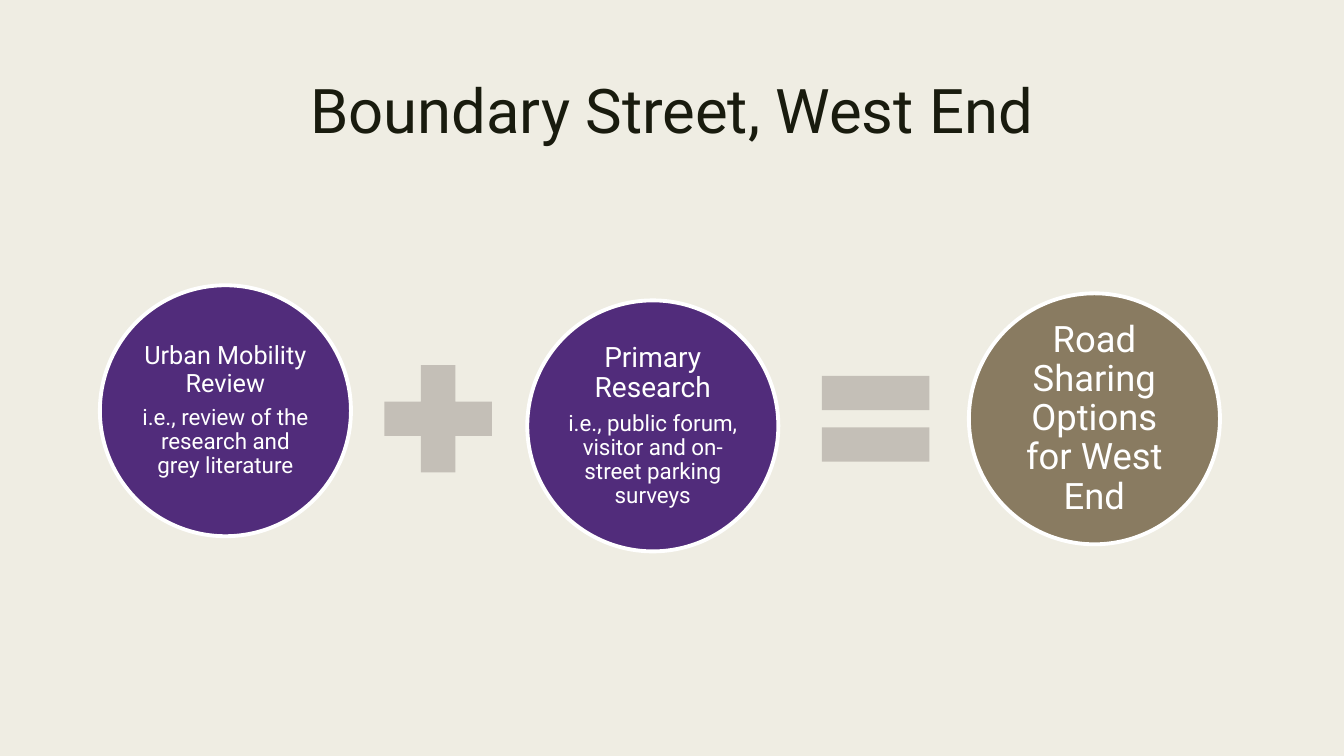
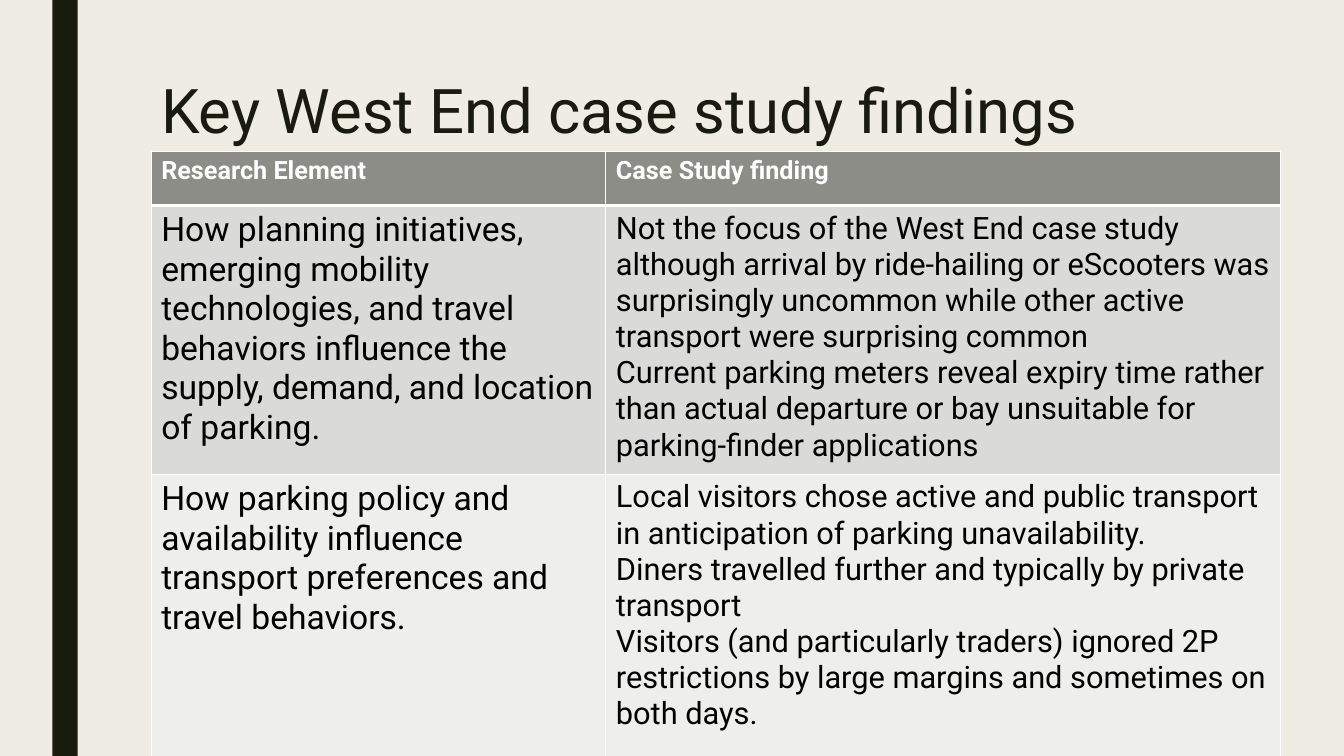
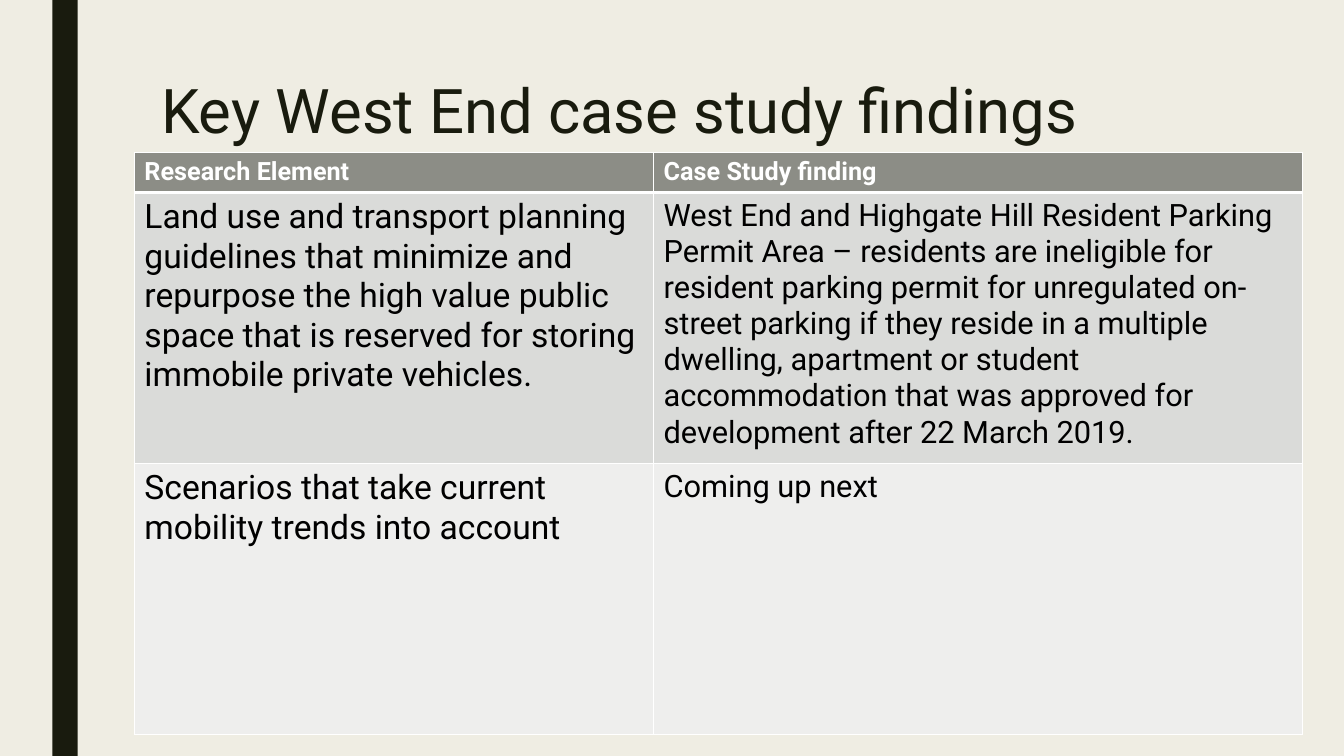
import pptx
import pptx.dml.color
import pptx.enum.shapes
import pptx.enum.text
import pptx.oxml
import pptx.oxml.ns
import pptx.util

WIDE = pptx.util.Inches(13.33)
TALL = pptx.util.Inches(7.5)
FONT = "Roboto"
CREAM, INK, WHITE, BLACK = "EFEDE3", "191B0E", "FFFFFF", "000000"
PLUM, SAND, STONE = "512C7B", "897B61", "C4BFB7"
HEAD, ROWS = "8C8D86", ["DADBD9", "EEEEED"]
FORM = pptx.enum.shapes.MSO_SHAPE
ALIGN = pptx.enum.text.PP_ALIGN
MID = pptx.enum.text.MSO_ANCHOR.MIDDLE


def across(share):
    return round(WIDE * share / 100)


def down(share):
    return round(TALL * share / 100)


def place(left, top, width, height):
    return across(left), down(top), across(width), down(height)


def tint(text):
    return pptx.dml.color.RGBColor.from_string(text)


def paint(part, color):
    part.fill.solid()
    part.fill.fore_color.rgb = tint(color)


def apply(item, style):
    for name, value in style.items():
        setattr(item, name, value)


def write(frame, parts, color, bold=False, **style):
    for index, (text, size) in enumerate(parts):
        para = frame.add_paragraph() if index else frame.paragraphs[0]
        apply(para, style)
        run = para.add_run()
        run.text = text
        apply(run.font, {"name": FONT, "size": pptx.util.Pt(size), "bold": bold})
        run.font.color.rgb = tint(color)


def shape(slide, form, box, color):
    item = slide.shapes.add_shape(form, *place(*box))
    item.shadow.inherit = False
    paint(item, color)
    item.line.fill.background()
    return item


def circle(slide, left, top, color, parts, inset=0.03):
    disc = shape(slide, FORM.OVAL, (left, top, 18.68, 33.2), color)
    disc.line.color.rgb = tint(WHITE)
    disc.line.width = pptx.util.Pt(2.75)
    edge = pptx.util.Inches(inset)
    sides = ("left", "top", "right", "bottom")
    apply(disc.text_frame, {f"margin_{side}": edge for side in sides})
    apply(disc.text_frame, {"word_wrap": True, "vertical_anchor": MID})
    write(disc.text_frame, parts, WHITE, alignment=ALIGN.CENTER,
          line_spacing=0.9, space_after=pptx.util.Pt(6))


def title(slide, text, left, width, align):
    frame = slide.shapes.add_textbox(*place(left, 10, width, 21.6)).text_frame
    frame.word_wrap = True
    write(frame, [(text, 44)], INK, alignment=align, line_spacing=0.89)


def border(cell, base):
    props = cell._tc.get_or_add_tcPr()
    widths = {"lnL": 1, "lnR": 1, "lnT": 1, "lnB": base}
    for index, (tag, width) in enumerate(widths.items()):
        line = pptx.oxml.parse_xml(
            f'<a:{tag} {pptx.oxml.ns.nsdecls("a")} w="{pptx.util.Pt(width)}">'
            f'<a:solidFill><a:srgbClr val="{WHITE}"/></a:solidFill></a:{tag}>')
        props.insert(index, line)


def table(slide, left, top, cols, rows, body):
    box = place(left, top, sum(cols), sum(rows))
    grid = slide.shapes.add_table(len(rows), len(cols), *box).table
    apply(grid, {"first_row": False, "horz_banding": False})
    for col, width in zip(grid.columns, cols):
        col.width = across(width)
    for row, height in zip(grid.rows, rows):
        row.height = down(height)
    heads = [["Research Element"], ["Case Study finding"]]
    for r, texts in enumerate([heads] + body):
        for c, lines in enumerate(texts):
            cell = grid.cell(r, c)
            paint(cell, ROWS[r - 1] if r else HEAD)
            border(cell, 1 if r else 3)
            size = (24, 22)[c] if r else 18
            write(cell.text_frame, [(line, size) for line in lines],
                  BLACK if r else WHITE, bold=not r)


def start(deck):
    slide = deck.slides.add_slide(deck.slide_layouts[6])
    paint(slide.background, CREAM)
    return slide


def street(deck):
    slide = start(deck)
    title(slide, "Boundary Street, West End", 5.25, 89.5, ALIGN.CENTER)
    circle(slide, 7.43, 37.73, PLUM, [
        ("Urban Mobility Review", 18),
        ("i.e., review of the research and grey literature", 16)])
    circle(slide, 39.23, 39.73, PLUM, [
        ("Primary Research", 20),
        ("i.e., public forum, visitor and on-street parking surveys", 16)])
    circle(slide, 72.09, 38.8, SAND,
           [("Road Sharing Options for West End", 26)], 0.04)
    for form, left in ((FORM.MATH_PLUS, 27.16), (FORM.MATH_EQUAL, 59.71)):
        shape(slide, form, (left, 45.73, 10.88, 19.33), STONE)


def study(deck, *layout):
    slide = start(deck)
    shape(slide, FORM.RECTANGLE, (3.9, 0, 1.88, 100), INK)
    table(slide, *layout)
    title(slide, "Key West End case study findings", 11.25, 78.77, ALIGN.LEFT)


def main():
    deck = pptx.Presentation()
    apply(deck, {"slide_width": WIDE, "slide_height": TALL})
    street(deck)
    study(deck, 11.25, 20, [33.83, 50.19], [7.2, 35.07, 37.73], [
        [["How planning initiatives, emerging mobility technologies, and travel "
          "behaviors influence the supply, demand, and location of parking."],
         ["Not the focus of the West End case study although arrival by "
          "ride-hailing or eScooters was surprisingly uncommon while other "
          "active transport were surprising common",
          "Current parking meters reveal expiry time rather than actual "
          "departure or bay unsuitable for parking-finder applications"]],
        [["How parking policy and availability influence transport preferences "
          "and travel behaviors."],
         ["Local visitors chose active and public transport in anticipation of "
          "parking unavailability.",
          "Diners travelled further and typically by private transport",
          "Visitors (and particularly traders) ignored 2P restrictions by large "
          "margins and sometimes on both days."]]])
    study(deck, 10, 20.13, [38.63, 48.31], [5.2, 35.87, 35.87], [
        [["Land use and transport planning guidelines that minimize and "
          "repurpose the high value public space that is reserved for storing "
          "immobile private vehicles."],
         ["West End and Highgate Hill Resident Parking Permit Area – residents "
          "are ineligible for resident parking permit for unregulated on-street "
          "parking if they reside in a multiple dwelling, apartment or student "
          "accommodation that was approved for development after 22 March 2019."]],
        [["Scenarios that take current mobility trends into account"],
         ["Coming up next"]]])
    deck.save("out.pptx")


if __name__ == "__main__":
    main()
